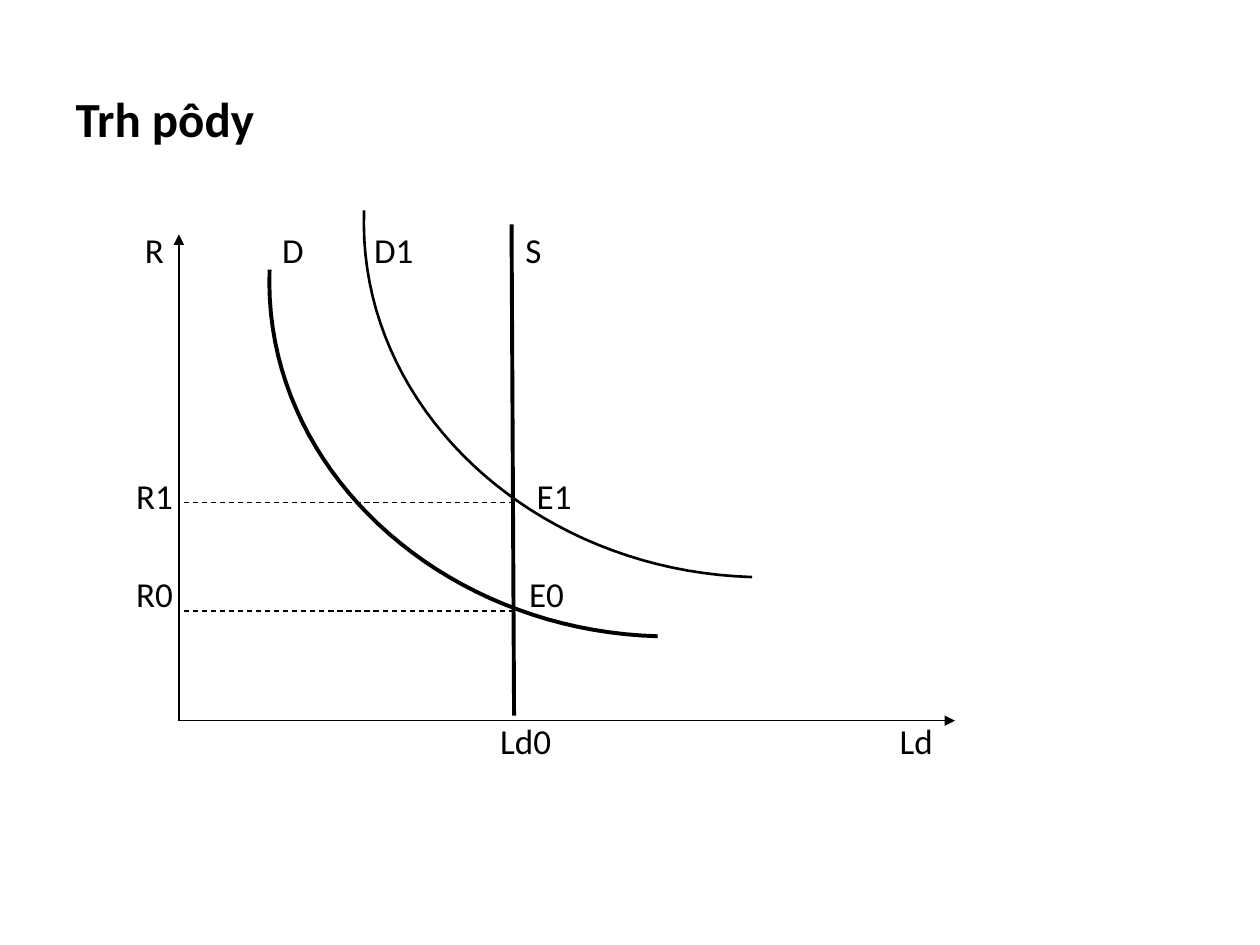
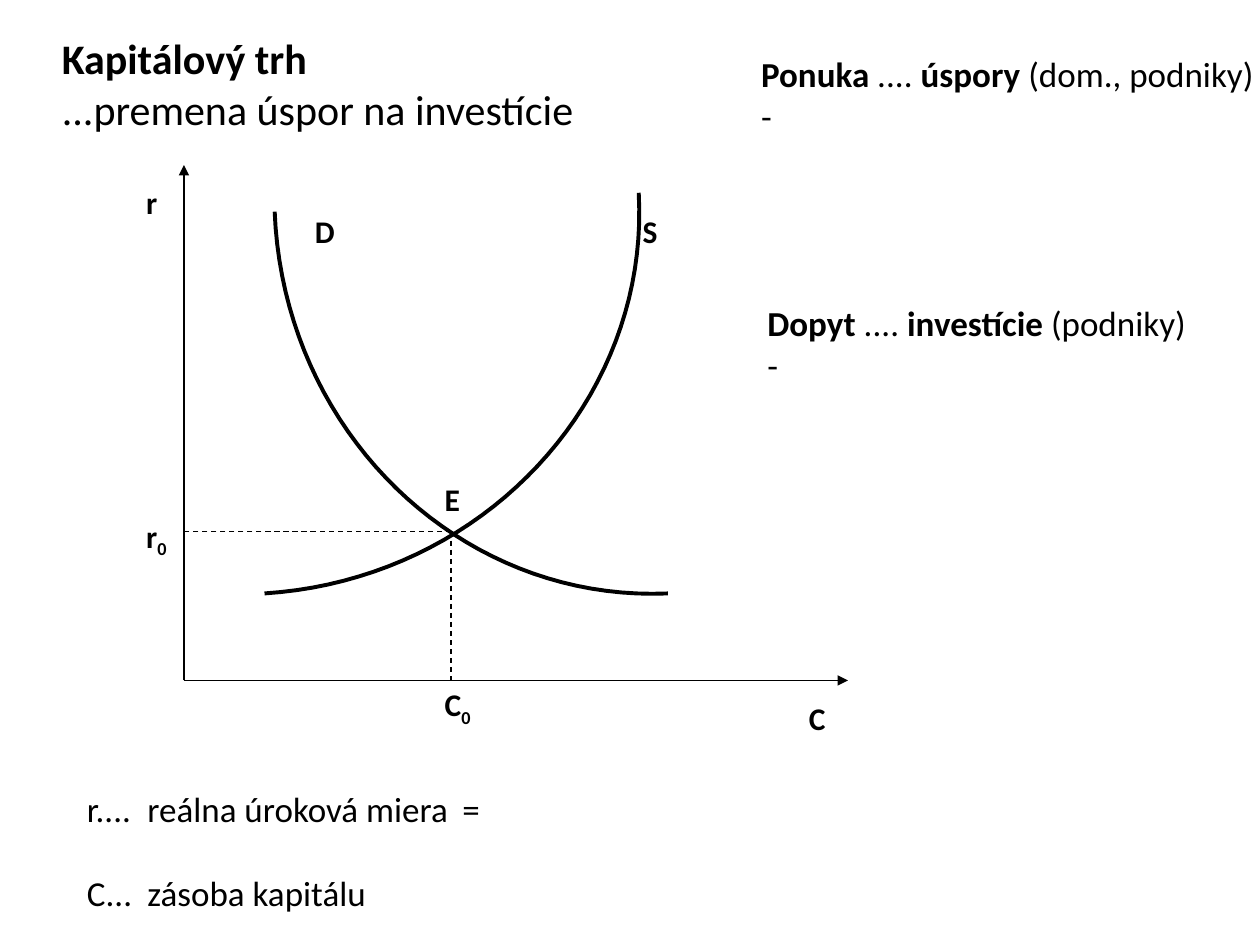
from lxml import etree
from pptx import Presentation
from pptx.dml.color import RGBColor
from pptx.enum.dml import MSO_LINE
from pptx.enum.shapes import MSO_CONNECTOR
from pptx.enum.text import MSO_ANCHOR
from pptx.oxml.ns import qn
from pptx.util import Inches, Pt

STRAIGHT = MSO_CONNECTOR.STRAIGHT
DASH = MSO_LINE.DASH
TOP, MIDDLE = MSO_ANCHOR.TOP, MSO_ANCHOR.MIDDLE

COLOURS = {"ink": "000000", "paper": "FFFFFF"}
FONT = "Calibri"
COLUMNS, ROWS = 100, 75
CELL = Inches(0.1)
THIN, MEDIUM, THICK = 0.75, 1.5, 2.25
CURVE_STEPS = 40


def colour(name):
    return RGBColor.from_string(COLOURS[name])


def cells(count):
    return round(count * CELL)


def add_page(deck):
    page = deck.slides.add_slide(deck.slide_layouts[6])
    page.background.fill.solid()
    page.background.fill.fore_color.rgb = colour("paper")
    return page


def add_tabs(para, stops):
    tabs = etree.SubElement(para._p.get_or_add_pPr(), qn("a:tabLst"))
    for stop in stops:
        etree.SubElement(tabs, qn("a:tab"), pos=str(cells(stop)), algn="l")


def add_text(page, region, lines, size, anchor=TOP, gap=0, tabs=()):
    """Write lines of (text, style) spans; style is "plain", "bold" or "bold sub"."""
    box = page.shapes.add_textbox(*map(cells, region))
    frame = box.text_frame
    frame.word_wrap = False
    frame.vertical_anchor = anchor
    frame.margin_left = frame.margin_right = frame.margin_top = frame.margin_bottom = 0
    for number, spans in enumerate(lines):
        para = frame.add_paragraph() if number else frame.paragraphs[0]
        if number and gap:
            para.space_before = Pt(gap)
        if tabs:
            add_tabs(para, tabs)
        for text, style in spans:
            span = para.add_run()
            span.text = text
            span.font.name = FONT
            span.font.size = Pt(size)
            span.font.bold = "bold" in style
            span.font.color.rgb = colour("ink")
            if "sub" in style:
                span._r.get_or_add_rPr().set("baseline", "-25000")


class Plot:
    """Market diagram; points are cells to the right of and above the origin."""

    def __init__(self, page, region):
        self.page = page
        self.left, top, self.width, self.height = region
        self.bottom = top + self.height

    def place(self, point):
        return cells(self.left + point[0]), cells(self.bottom - point[1])

    def line(self, start, end, weight=THIN, dashed=False, arrow=False):
        line = self.page.shapes.add_connector(STRAIGHT, *self.place(start), *self.place(end))
        line.line.color.rgb = colour("ink")
        line.line.width = Pt(weight)
        if dashed:
            line.line.dash_style = DASH
        if arrow:
            etree.SubElement(line.line._get_or_add_ln(), qn("a:tailEnd"), type="triangle")
        etree.SubElement(line._element.spPr, qn("a:effectLst"))

    def axes(self):
        for end in ((0, self.height), (self.width, 0)):
            self.line((0, 0), end, arrow=True)

    def curve(self, controls, weight, shift=(0, 0)):
        """Draw a cubic curve through four control points, moved by shift."""
        points = []
        for step in range(CURVE_STEPS + 1):
            t = step / CURVE_STEPS
            shares = ((1 - t) ** 3, 3 * t * (1 - t) ** 2, 3 * t * t * (1 - t), t ** 3)
            points.append(self.place([
                shift[axis] + sum(share * point[axis] for share, point in zip(shares, controls))
                for axis in (0, 1)]))
        builder = self.page.shapes.build_freeform(*points[0])
        builder.add_line_segments(points[1:], close=False)
        shape = builder.convert_to_shape()
        shape.shadow.inherit = False
        shape.fill.background()
        shape.line.color.rgb = colour("ink")
        shape.line.width = Pt(weight)

    def label(self, right, up, spans, size):
        """Start a label at the point, centred on its height."""
        region = (self.left + right, self.bottom - up - 2, 6, 4)
        add_text(self.page, region, [spans], size, MIDDLE)


def draw_land_market(page, region):
    plot = Plot(page, region)
    plot.axes()
    supply_foot = 26.6
    plot.line((26.4, 39.4), (supply_foot, 0.4), THICK)
    demand = [(38, 6.7), (20.6, 7.2), (6.6, 20.2), (7.2, 35.8)]
    plot.curve(demand, THICK)
    plot.curve(demand, MEDIUM, shift=(7.5, 4.7))
    for rent in (8.7, 17.3):
        plot.line((supply_foot, rent), (0, rent), dashed=True)
    label_rows = {
        37.4: [("R", -2.7), ("D", 8.2), ("D1", 15.5), ("S", 27.5)],
        17.9: [("R1", -3.4), ("E1", 28.4)],
        10.1: [("R0", -3.4), ("E0", 27.8)],
        -1.6: [("Ld0", 25.5), ("Ld", 57.2)],
    }
    for up, labels in label_rows.items():
        for text, right in labels:
            plot.label(right, up, [(text, "plain")], 20)


def draw_capital_market(page, region):
    plot = Plot(page, region)
    plot.axes()
    demand = [(38.4, 6.9), (21.8, 6.2), (7.9, 19.8), (7.2, 37.2)]
    supply = [(36.1, 38.7), (37, 22.2), (23.7, 8), (6.4, 6.9)]
    for controls in (demand, supply):
        plot.curve(controls, THICK)
    capital, interest = 21.2, 11.8
    for foot in ((0, interest), (capital, 0)):
        plot.line((capital, interest), foot, dashed=True)
    labels = [
        ("D", "", 10.4, 35.7), ("S", "", 36.4, 35.7), ("E", "", 20.7, 14.4),
        ("r", "", -3, 38), ("C", "", 49.6, -3),
        ("r", "0", -3, 11.3), ("C", "0", 20.7, -2.1),
    ]
    for text, index, right, up in labels:
        spans = [(text, "bold")] + ([(index, "bold sub")] if index else [])
        plot.label(right, up, spans, 18)


def add_market_side(page, region, side, source, actors):
    heading = [(side, "bold"), (" .... ", "plain"), (source + " ", "bold"), (actors, "plain")]
    add_text(page, region, [heading, [("-", "plain")]], 20)


def build_land_slide(deck):
    page = add_page(deck)
    add_text(page, (6, 3.1, 88, 12.5), [[("Trh pôdy", "bold")]], 28, MIDDLE)
    draw_land_market(page, (14.2, 18.6, 61.6, 38.6))


def build_capital_slide(deck):
    page = add_page(deck)
    title = [[("Kapitálový trh", "bold")], [("...premena úspor na investície", "plain")]]
    add_text(page, (4.9, 2.6, 53.5, 9.2), title, 24)
    draw_capital_market(page, (14.6, 13.1, 52.7, 40.9))
    add_market_side(page, (6.04 * 10, 4.2, 39.5, 7), "Ponuka", "úspory", "(dom., podniky)")
    add_market_side(page, (60.9, 23.9, 39, 7), "Dopyt", "investície", "(podniky)")
    legend = [[("r....\treálna úroková miera\t=", "plain")], [("C...\tzásoba kapitálu", "plain")]]
    add_text(page, (6.9, 62.5, 40, 10.5), legend, 20, gap=24, tabs=(4.8, 29.8))


def main():
    deck = Presentation()
    deck.slide_width, deck.slide_height = cells(COLUMNS), cells(ROWS)
    build_land_slide(deck)
    build_capital_slide(deck)
    deck.save("out.pptx")


if __name__ == "__main__":
    main()
